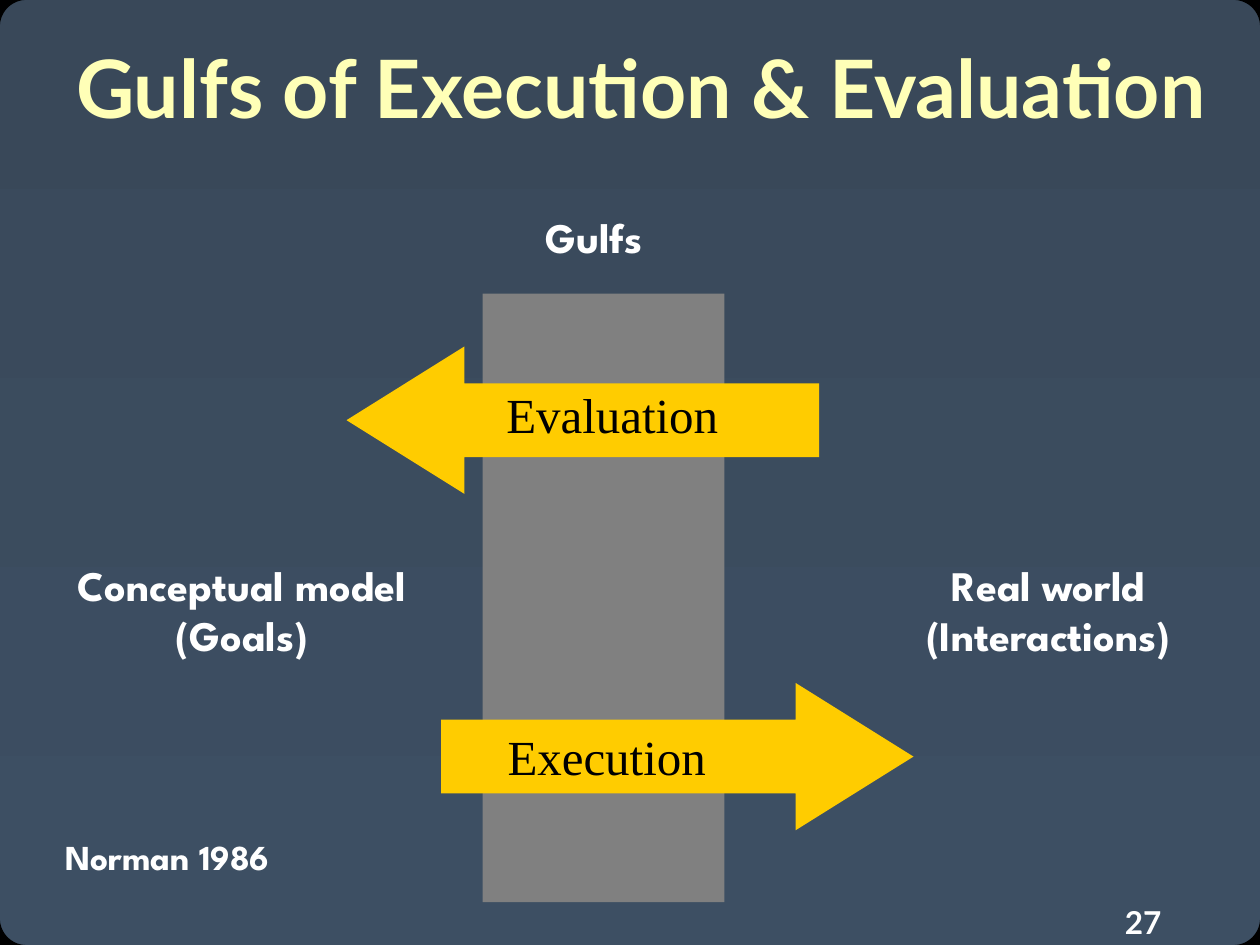
from dataclasses import dataclass
from math import cos, radians, sin
from pptx import Presentation
from pptx.dml.color import RGBColor
from pptx.enum.shapes import MSO_SHAPE as Shape
from pptx.enum.text import MSO_ANCHOR as Anchor, MSO_AUTO_SIZE as Fit, PP_ALIGN as Align
from pptx.util import Inches, Pt


@dataclass(frozen=True)
class Theme:
    top: str = "394859"
    base: str = "3D4F63"
    edge: str = "000000"
    title: str = "FFFFB7"
    text: str = "FFFFFF"
    gulf: str = "808080"
    arrow: str = "FFCC00"
    ink: str = "000000"
    head: str = "Lato"
    body: str = "League Spartan"
    serif: str = "Times New Roman"
    huge: int = 46
    large: int = 28
    mid: int = 24
    small: int = 20
    page: int = 18


T = Theme()
WIDE, HIGH = 10, 7.5


def rgb(code):
    return RGBColor.from_string(code)


def add_text(shapes, box, text, font=T.body, size=T.mid, color=T.text,
             bold=True, align=Align.LEFT, fit=Fit.SHAPE_TO_FIT_TEXT):
    """Text box; a newline starts a paragraph, a vertical tab breaks a line."""
    frame = shapes.add_textbox(*map(Inches, box)).text_frame
    frame.word_wrap = False
    frame.auto_size = fit
    frame.vertical_anchor = Anchor.TOP
    for i, line in enumerate(text.split("\n")):
        para = frame.add_paragraph() if i else frame.paragraphs[0]
        para.alignment = align
        for j, part in enumerate(line.split("\v")):
            if j:
                para.add_line_break()
            run = para.add_run()
            run.text = part
            run.font.name, run.font.size, run.font.bold = font, Pt(size), bold
            run.font.color.rgb = rgb(color)


def add_block(shapes, kind, box, color):
    shape = shapes.add_shape(kind, *map(Inches, box))
    shape.shadow.inherit = False
    shape.fill.solid()
    shape.fill.fore_color.rgb = rgb(color)
    shape.line.fill.background()
    return shape


def add_corner(slide, x, y, start):
    """Quarter circle around (x, y), clockwise from the start angle."""
    size = 0.28
    points = [(Inches(x + size * cos(radians(a))), Inches(y + size * sin(radians(a))))
              for a in range(start, start + 91, 5)]
    pen = slide.shapes.build_freeform(*points[0])
    pen.add_line_segments(points[1:], close=False)
    arc = pen.convert_to_shape()
    arc.shadow.inherit = False
    arc.fill.background()
    arc.line.color.rgb = rgb(T.edge)
    arc.line.width = Pt(10)


def add_back(slide):
    """Gradient with a rounded black corner at each end."""
    fill = slide.background.fill
    fill.gradient()
    fill.gradient_angle = 270
    for stop, color, pos in zip(fill.gradient_stops, (T.top, T.base), (0, 1)):
        stop.color.rgb = rgb(color)
        stop.position = pos

    gap = 0.21
    right, low = WIDE - gap, HIGH - gap
    spots = [(right, low), (gap, low), (gap, gap), (right, gap)]
    for turn, (x, y) in enumerate(spots):
        add_corner(slide, x, y, 90 * turn)


def add_arrow(slide, kind, box, text, label):
    """Arrow across the gulf; label is its text box, relative to the arrow."""
    x, y, w, h = box
    dx, dy, tw, th = label
    group = slide.shapes.add_group_shape()
    arrow = add_block(group.shapes, kind, box, T.arrow)
    arrow.adjustments[0], arrow.adjustments[1] = 0.5, 0.8
    add_text(group.shapes, (x + dx, y + dy, tw, th), text, font=T.serif,
             size=T.large, color=T.ink, bold=False)


def add_model(slide, box):
    """Gulf column, its two arrows and the labels around it."""
    x, y, w, h = box
    shapes = slide.shapes
    add_block(shapes, Shape.RECTANGLE, box, T.gulf)

    # The two sides
    side = y + 2.06
    add_text(shapes, (x + 3.26, side, 2.46, 0.9), "Real world\v(Interactions)",
             align=Align.CENTER)
    add_text(shapes, (x - 3.57, side, 3.32, 0.9), "Conceptual model\n(Goals)",
             align=Align.CENTER)

    # Arrows
    add_arrow(slide, Shape.LEFT_ARROW, (x - 1.08, y + 0.42, 3.75, 1.17),
              "Evaluation", (1.17, 0.25, 1.88, 0.57))
    add_arrow(slide, Shape.RIGHT_ARROW, (x - 0.33, y + 3.09, 3.75, 1.17),
              "Execution", (0.43, 0.3, 1.87, 0.57))

    # Heading
    add_text(shapes, (x + 0.4, y - 0.7, 1.1, 0.5), "Gulfs")


def main():
    deck = Presentation()
    deck.slide_width, deck.slide_height = Inches(WIDE), Inches(HIGH)
    slide = deck.slides.add_slide(deck.slide_layouts[6])
    add_back(slide)
    add_text(slide.shapes, (8.83, 7.12, 0.83, 0.3), "27", font=T.head,
             size=T.page, fit=Fit.NONE)
    add_text(slide.shapes, (0.5, 0.25, 9.17, 1.12),
             "Gulfs of Execution & Evaluation", font=T.head, size=T.huge,
             color=T.title, align=Align.CENTER, fit=Fit.NONE)
    add_model(slide, (3.83, 2.33, 1.92, 4.83))
    add_text(slide.shapes, (0.42, 6.58, 1.95, 0.43), "Norman 1986", size=T.small)
    deck.save("out.pptx")


if __name__ == "__main__":
    main()
